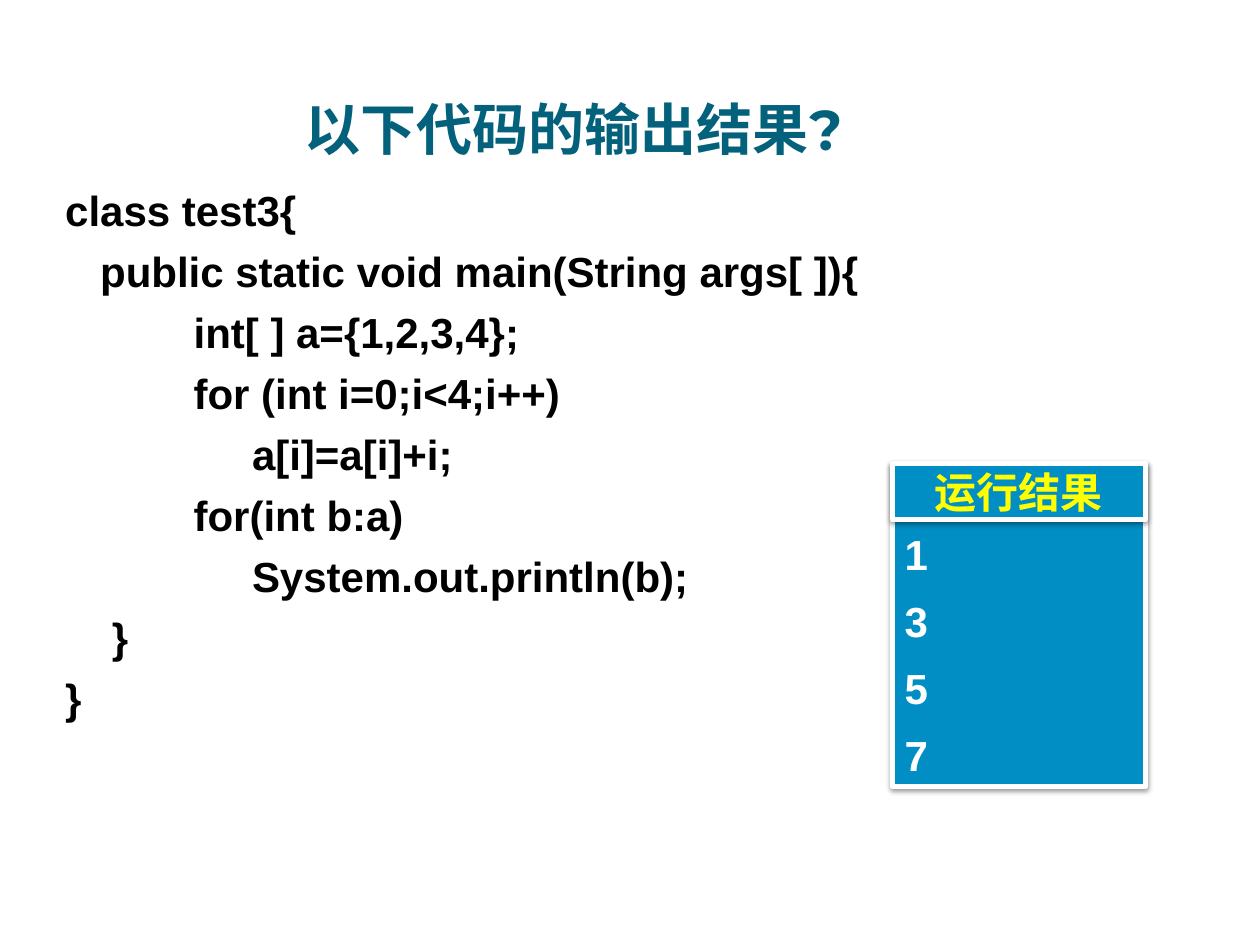
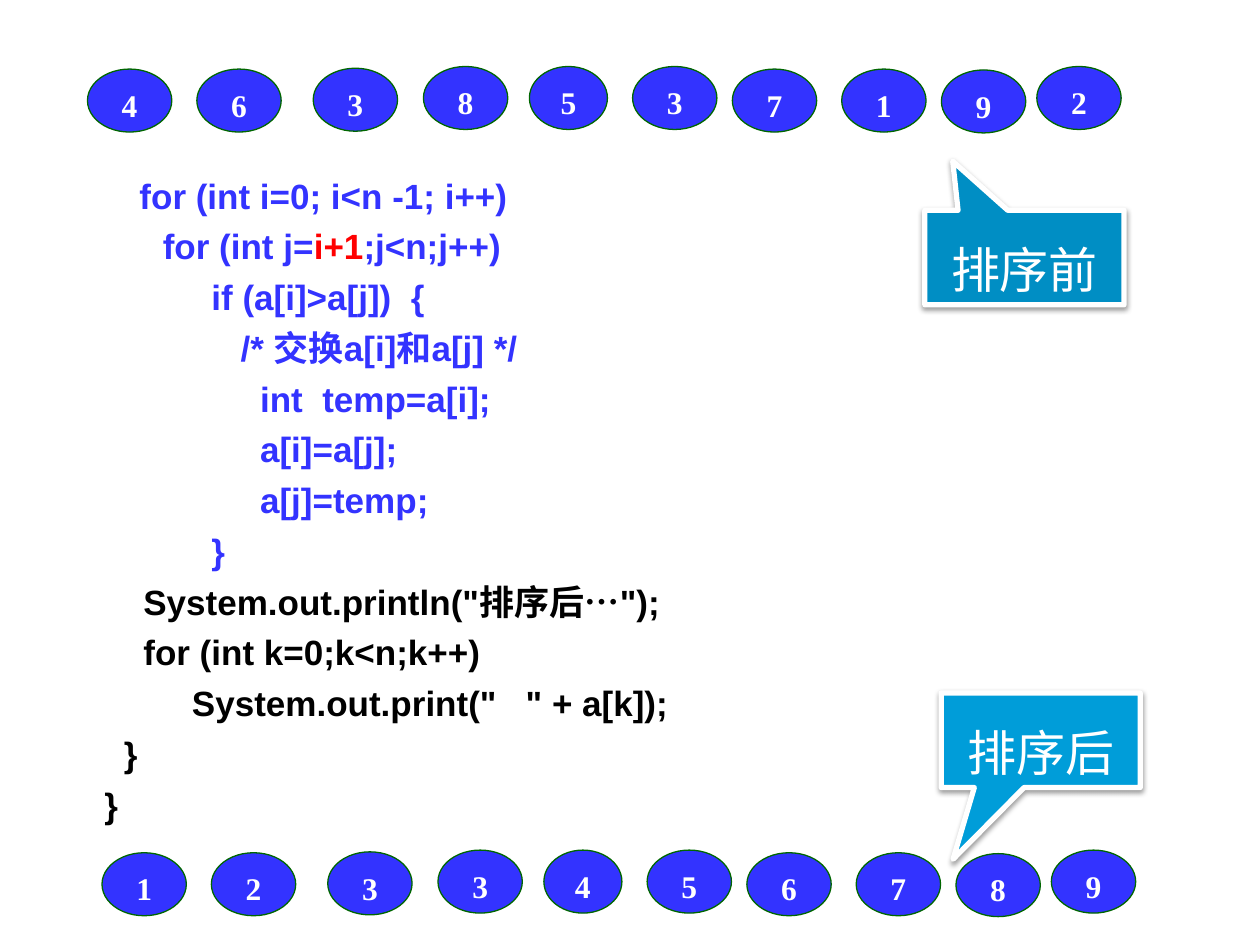
from lxml import etree
from pptx import Presentation
from pptx.dml.color import RGBColor
from pptx.enum.shapes import MSO_SHAPE
from pptx.enum.text import MSO_ANCHOR, PP_ALIGN
from pptx.oxml.ns import qn
from pptx.util import Pt

RECTANGLE = MSO_SHAPE.RECTANGLE
OVAL = MSO_SHAPE.OVAL
CALLOUT = MSO_SHAPE.RECTANGULAR_CALLOUT
MIDDLE, BOTTOM = MSO_ANCHOR.MIDDLE, MSO_ANCHOR.BOTTOM
LEFT, CENTER = PP_ALIGN.LEFT, PP_ALIGN.CENTER

BLACK = RGBColor(0x00, 0x00, 0x00)
WHITE = RGBColor(0xFF, 0xFF, 0xFF)
YELLOW = RGBColor(0xFF, 0xFF, 0x00)
RED = RGBColor(0xFF, 0x00, 0x00)
BLUE = RGBColor(0x33, 0x33, 0xFF)
GREEN = RGBColor(0x00, 0x66, 0x00)
TEAL = RGBColor(0x04, 0x61, 0x7B)
PANEL_BLUE = RGBColor(0x00, 0x8E, 0xC4)
SKY_BLUE = RGBColor(0x00, 0x9D, 0xD9)

SPACE_WIDTH = 0.278  # width of a space in Arial, in ems
LINE_GAP = 0.25      # gap above a code line, in ems

# Each code line: columns of indentation, then its text or its coloured runs.
ARRAY_CODE = [
    (0, "class test3{"),
    (3, "public static void main(String args[ ]){"),
    (11, "int[ ] a={1,2,3,4};"),
    (11, "for (int i=0;i<4;i++)"),
    (16, "a[i]=a[i]+i;"),
    (11, "for(int b:a)"),
    (16, "System.out.println(b);"),
    (4, "}"),
    (0, "}"),
]
SORT_CODE = [
    (3.6, [("for (int i=0; i<n -1; i++)", BLUE)]),
    (6, [("for (int j=", BLUE), ("i+1", RED), (";j<n;j++)", BLUE)]),
    (11, [("if (a[i]>a[j])  {", BLUE)]),
    (14, [("/* 交换a[i]和a[j] */", BLUE)]),
    (16, [("int  temp=a[i];", BLUE)]),
    (16, [("a[i]=a[j];", BLUE)]),
    (16, [("a[j]=temp;", BLUE)]),
    (11, [("}", BLUE)]),
    (4, 'System.out.println("排序后…");'),
    (4, "for (int k=0;k<n;k++)"),
    (9, 'System.out.print("   " + a[k]);'),
    (2, "}"),
    (0, "}"),
]

# Left, top and width of each ball in the unsorted row.
BALL_PLACES = [
    (50, 39.5, 48.2), (112.5, 39.5, 48.2), (179, 39, 48.2), (242, 38, 48.2),
    (302.5, 38, 44.6), (361.5, 38, 48.2), (418.5, 39.5, 48.2),
    (481, 39.5, 48.2), (538, 40, 48.2), (592.5, 38, 48.2),
]
NUMBERS = "4638537192"
SORTED_ROW_SHIFT = (8.3, 447.8)


class Deck:
    """Holds the presentation, its shared style and the current slide."""

    def __init__(self):
        self.presentation = Presentation()
        self.presentation.slide_width = Pt(720)
        self.presentation.slide_height = Pt(540)
        self.slide = None

    def new_slide(self):
        layout = self.presentation.slide_layouts[6]
        self.slide = self.presentation.slides.add_slide(layout)

    def fill_paragraph(self, paragraph, runs, font, **format_values):
        """Add (text, colour) runs sharing one font; set paragraph values."""
        for name, value in format_values.items():
            setattr(paragraph, name, value)
        for text, colour in runs:
            run = paragraph.add_run()
            run.text = text
            run.font.color.rgb = colour
            for name, value in font.items():
                setattr(run.font, name, value)

    def text_box(self, left, top, width, height, **frame_values):
        box = self.slide.shapes.add_textbox(
            Pt(left), Pt(top), Pt(width), Pt(height))
        frame = box.text_frame
        frame.word_wrap = True
        for name, value in frame_values.items():
            setattr(frame, name, value)
        return frame

    def title(self, text):
        frame = self.text_box(174.2, 38.2, 376.6, 54, vertical_anchor=BOTTOM,
                              margin_left=0, margin_right=0, margin_bottom=0)
        font = dict(name="Montserrat", size=Pt(32), bold=True)
        self.fill_paragraph(frame.paragraphs[0], [(text, TEAL)], font)

    def code(self, lines, size, left, top, width, height):
        frame = self.text_box(left, top, width, height)
        font = dict(name="Arial", size=Pt(size), bold=True)
        for index, (columns, content) in enumerate(lines):
            paragraph = frame.add_paragraph() if index else frame.paragraphs[0]
            indent = Pt(columns * SPACE_WIDTH * size)
            paragraph._p.get_or_add_pPr().set("marL", str(indent))
            runs = [(content, BLACK)] if isinstance(content, str) else content
            self.fill_paragraph(paragraph, runs, font,
                                space_before=Pt(LINE_GAP * size))

    def shape(self, kind, place, fill, line, line_width, shapes=None,
              **frame_values):
        shapes = shapes or self.slide.shapes
        shape = shapes.add_shape(kind, *map(Pt, place))
        shape.shadow.inherit = False
        shape.fill.solid()
        shape.fill.fore_color.rgb = fill
        shape.line.color.rgb = line
        shape.line.width = Pt(line_width)
        for name, value in frame_values.items():
            setattr(shape.text_frame, name, value)
        return shape

    def raised(self, kind, place, fill, shapes=None, **frame_values):
        """Add a shape with a white frame and a soft shadow below it."""
        shape = self.shape(kind, place, fill, WHITE, 3, shapes, **frame_values)
        effects = shape._element.spPr.find(qn("a:effectLst"))
        shadow = etree.SubElement(
            effects, qn("a:outerShdw"), blurRad=str(Pt(3.1)),
            dist=str(Pt(1.6)), dir="5400000", rotWithShape="0")
        colour = etree.SubElement(shadow, qn("a:srgbClr"), val=str(BLACK))
        etree.SubElement(colour, qn("a:alpha"), val="38000")
        return shape

    def result_panel(self, heading, results):
        # An empty group has no length of its own, so its shapes are kept.
        shapes = self.slide.shapes
        left, top, width = 509.8, 265, 144.7
        font = dict(name="Arial", size=Pt(24), bold=True)
        panel = self.raised(RECTANGLE, (left, top, width, 184.3), PANEL_BLUE,
                            vertical_anchor=BOTTOM)
        frame = panel.text_frame
        for index, result in enumerate(results):
            paragraph = frame.add_paragraph() if index else frame.paragraphs[0]
            self.fill_paragraph(paragraph, [(result, WHITE)], font,
                                alignment=LEFT, space_before=Pt(9.5))
        header = self.raised(RECTANGLE, (left, top, width, 31.7), PANEL_BLUE,
                             vertical_anchor=MIDDLE)
        self.fill_paragraph(header.text_frame.paragraphs[0],
                            [(heading, YELLOW)], font, alignment=CENTER)
        shapes.add_group_shape([panel, header])

    def balls(self, numbers, shift=(0, 0)):
        font = dict(name="Times New Roman", size=Pt(18), bold=True)
        for number, (left, top, width) in zip(numbers, BALL_PLACES):
            place = (left + shift[0], top + shift[1], width, 36)
            ball = self.shape(OVAL, place, BLUE, GREEN, 0.75,
                              vertical_anchor=MIDDLE,
                              margin_top=Pt(4.7), margin_bottom=0)
            self.fill_paragraph(ball.text_frame.paragraphs[0],
                                [(number, WHITE)], font, alignment=CENTER)

    def callout(self, text, left, top, fill, pointer):
        callout = self.raised(CALLOUT, (left, top, 113.8, 54), fill,
                              vertical_anchor=BOTTOM)
        for index, value in enumerate(pointer):
            callout.adjustments[index] = value
        font = dict(name="Roboto", size=Pt(28))
        self.fill_paragraph(callout.text_frame.paragraphs[0], [(text, WHITE)],
                            font, alignment=CENTER, line_spacing=1.5,
                            space_before=Pt(14))


def main():
    deck = Deck()

    deck.new_slide()
    deck.title("以下代码的输出结果?")
    deck.code(ARRAY_CODE, 24, 30.2, 102.2, 540, 336.2)
    deck.result_panel("运行结果", "1357")

    deck.new_slide()
    deck.code(SORT_CODE, 20, 52.6, 96, 544.3, 390)
    deck.balls(sorted(NUMBERS), SORTED_ROW_SHIFT)
    deck.balls(NUMBERS)
    deck.callout("排序后", 537.8, 396, SKY_BLUE, (-0.44, 1.26))
    deck.callout("排序前", 528.5, 120.2, PANEL_BLUE, (-0.36, -1.02))

    deck.presentation.save("out.pptx")


if __name__ == "__main__":
    main()
